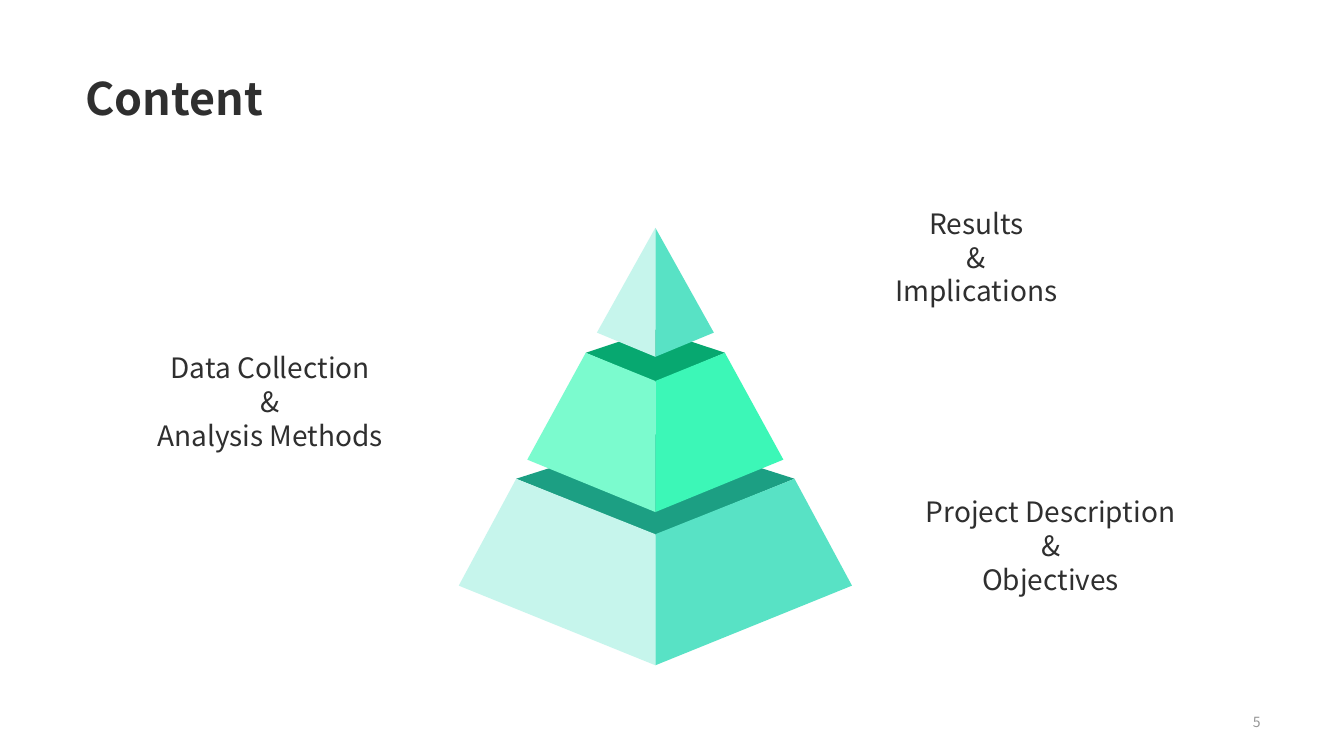
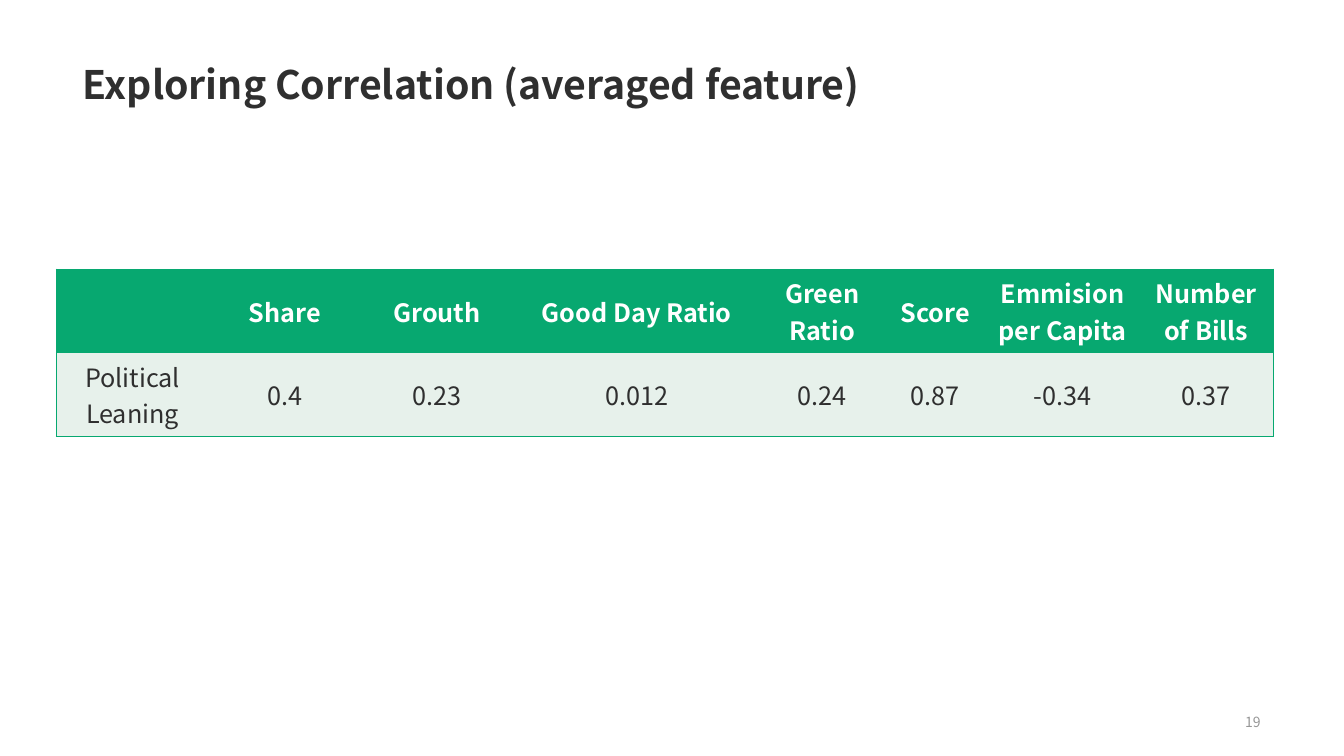
from lxml import etree
from pptx import Presentation
from pptx.dml.color import RGBColor
from pptx.enum.text import MSO_ANCHOR, PP_ALIGN
from pptx.oxml.ns import qn
from pptx.util import Emu, Pt

LEFT, CENTER, RIGHT = PP_ALIGN.LEFT, PP_ALIGN.CENTER, PP_ALIGN.RIGHT
MIDDLE, BOTTOM = MSO_ANCHOR.MIDDLE, MSO_ANCHOR.BOTTOM

EMU_PER_PX = 9144  # 100 px to the inch
FONT = "Noto Sans CJK SC"
COLORS = {
    "ink": "2F2F2F",
    "muted": "969696",
    "white": "FFFFFF",
    "green": "07A870",
    "row": "E7F1EB",
    "teal_dark": "1C9F83",
    "teal": "58E2C5",
    "teal_light": "C6F5EC",
    "mint": "3CF7B7",
    "mint_light": "7BFBCE",
}


def px(length):
    return Emu(length * EMU_PER_PX)


def rgb(name):
    return RGBColor.from_string(COLORS[name])


def write(frame, text, *, size, color="ink", bold=False, align=LEFT, spacing=None):
    """Fill a text frame, one paragraph for each line of text."""
    frame.text = text
    for paragraph in frame.paragraphs:
        paragraph.alignment = align
        if spacing is not None:
            paragraph.line_spacing = spacing
        font = paragraph.font
        for run in paragraph.runs:
            font = run.font
        font.name, font.size, font.bold = FONT, Pt(size), bold
        font.color.rgb = rgb(color)


class Deck:
    def __init__(self):
        self.prs = Presentation()
        self.prs.slide_width, self.prs.slide_height = px(1333), px(750)
        self.slide = None

    def new_slide(self, number):
        self.slide = self.prs.slides.add_slide(self.prs.slide_layouts[6])
        self.text(str(number), 969, 704, 291, 24, size=10, color="muted", align=RIGHT)

    def text(self, text, left, top, width, height, *, anchor=MIDDLE, **style):
        box = self.slide.shapes.add_textbox(px(left), px(top), px(width), px(height))
        box.text_frame.word_wrap = True
        box.text_frame.vertical_anchor = anchor
        write(box.text_frame, text, **style)

    def title(self, text, left, top, width, height, **style):
        self.text(text, left, top, width, height, bold=True, **style)

    def label(self, text, left, top, width):
        self.text(text, left, top, width, 111, anchor=BOTTOM,
                  size=20, align=CENTER, spacing=Pt(24))

    def polygon(self, points, color):
        builder = self.slide.shapes.build_freeform(*points[0], scale=EMU_PER_PX)
        builder.add_line_segments(points[1:], close=True)
        shape = builder.convert_to_shape()
        shape.shadow.inherit = False
        shape.fill.solid()
        shape.fill.fore_color.rgb = rgb(color)
        shape.line.fill.background()

    def table(self, rows, left, top, widths, row_height):
        last_row, last_col = len(rows) - 1, len(widths) - 1
        table = self.slide.shapes.add_table(
            len(rows), len(widths), px(left), px(top),
            px(sum(widths)), px(row_height * len(rows))).table
        table.first_row = table.horz_banding = False
        for column, width in zip(table.columns, widths):
            column.width = px(width)
        for r, row in enumerate(rows):
            table.rows[r].height = px(row_height)
            header = r == 0
            for c, value in enumerate(row):
                cell = table.cell(r, c)
                cell.vertical_anchor = MIDDLE
                cell.fill.solid()
                cell.fill.fore_color.rgb = rgb("green" if header else "row")
                write(cell.text_frame, value, size=18, bold=header, align=CENTER,
                      color="white" if header else "ink")
                self.borders(cell, L=c == 0, R=c == last_col, T=r == 0, B=r == last_row)

    @staticmethod
    def borders(cell, **edges):
        """Draw the edges that are on, and clear the others."""
        properties = cell._tc.get_or_add_tcPr()
        for position, (side, visible) in enumerate(edges.items()):
            line = etree.Element(qn(f"a:ln{side}"), w=str(Pt(1)))
            if visible:
                fill = etree.SubElement(line, qn("a:solidFill"))
                etree.SubElement(fill, qn("a:srgbClr"), val=COLORS["green"])
            else:
                etree.SubElement(line, qn("a:noFill"))
            properties.insert(position, line)


def pyramid_tier(deck, axis, top, bottom, back, colors):
    """Draw a tier; top and bottom are (half width, side y, front y)."""
    top_half, top_side, top_front = top
    low_half, low_side, low_front = bottom
    lid, left_face, right_face = colors
    if back is not None:
        deck.polygon([(axis, back), (axis - top_half, top_side),
                      (axis, top_front + 1), (axis + top_half, top_side)], lid)
    for sign, color in ((1, right_face), (-1, left_face)):
        deck.polygon([(axis + sign * top_half, top_side), (axis, top_front),
                      (axis, low_front), (axis + sign * low_half, low_side)], color)


def content_slide(deck):
    deck.new_slide(5)
    deck.title("Content", 75, 65, 520, 64, size=32)

    # Pyramid, from base to apex
    teal = ("teal_dark", "teal_light", "teal")
    mint = ("green", "mint_light", "mint")
    for tier in (
        ((138, 475, 530), (195, 581, 660), 431, teal),
        ((69, 350, 378), (127, 456, 508), 327, mint),
        ((0, 226, 226), (58, 330, 354), None, teal),
    ):
        pyramid_tier(deck, 650, *tier)

    # Tier labels
    deck.label("Results\n&\nImplications", 725, 199, 487)
    deck.label("Project Description\n&\nObjectives", 827, 485, 430)
    deck.label("Data Collection\n&\nAnalysis Methods", 29, 342, 478)


def correlation_slide(deck):
    deck.new_slide(19)
    deck.title("Exploring Correlation (averaged feature)", 72, 0, 1188, 112,
               size=28, anchor=BOTTOM, spacing=0.9)

    # Correlation table
    rows = [
        ["", "Share", "Grouth", "Good Day Ratio", "Green Ratio", "Score",
         "Emmision per Capita", "Number of Bills"],
        ["Political Leaning", "0.4", "0.23", "0.012", "0.24", "0.87", "-0.34", "0.37"],
    ]
    deck.table(rows, 56, 267, [151, 151, 151, 245, 123, 101, 152, 133], 83)


def main():
    deck = Deck()
    content_slide(deck)
    correlation_slide(deck)
    deck.prs.save("out.pptx")


if __name__ == "__main__":
    main()
